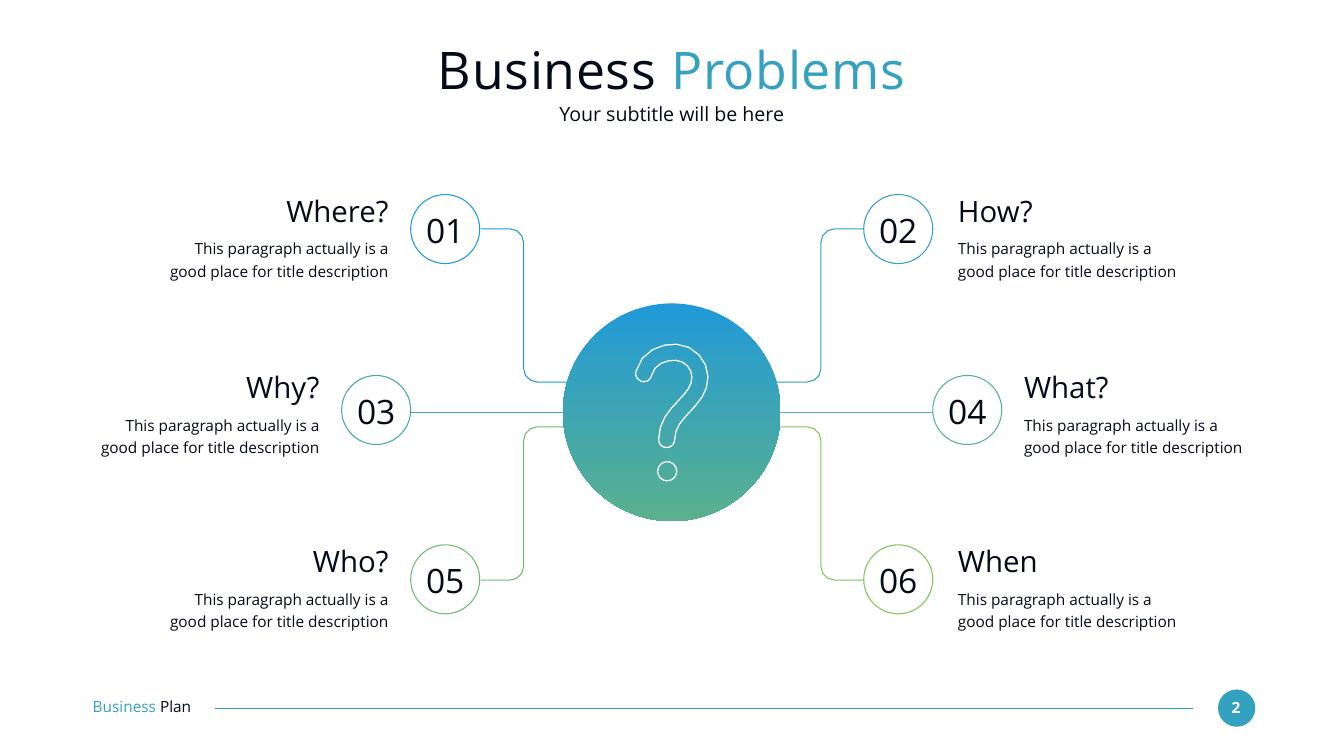
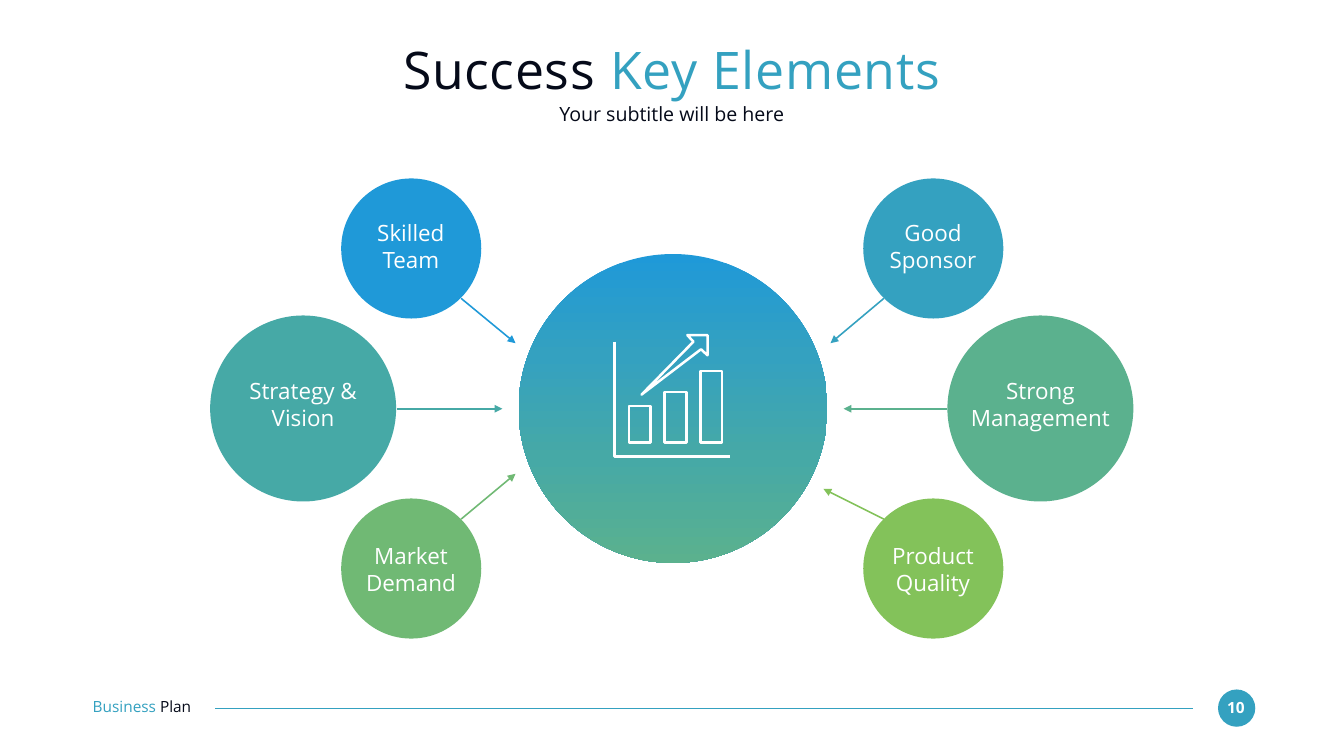
"""Build two business plan slides: six question rings and six success elements."""
from copy import deepcopy
from math import cos, pi, sin

from lxml import etree
from pptx import Presentation
from pptx.dml.color import RGBColor
from pptx.enum.shapes import MSO_CONNECTOR, MSO_SHAPE
from pptx.enum.text import MSO_ANCHOR, PP_ALIGN
from pptx.oxml.ns import qn
from pptx.util import Inches, Pt

LEFT, CENTER, RIGHT = PP_ALIGN.LEFT, PP_ALIGN.CENTER, PP_ALIGN.RIGHT
TOP, MIDDLE = MSO_ANCHOR.TOP, MSO_ANCHOR.MIDDLE
ELLIPSE, STRAIGHT = MSO_SHAPE.OVAL, MSO_CONNECTOR.STRAIGHT
FONT = "Open Sans"
TITLE_SIZE = 74
COLORS = {
    "ink": "050A19", "white": "FFFFFF", "blue": "1F99D8", "cyan": "34A1C0",
    "teal": "46A9A6", "sea": "5BB18E", "green": "70B974", "lime": "83C25A",
}
GRADIENT = [(0, "blue"), (0.33, "cyan"), (0.66, "teal"), (1, "sea")]
DESCRIPTION = "This paragraph actually is a good place for title description"


def color(name):
    return RGBColor.from_string(COLORS[name])


def curve(points, steps):
    """Sample a chain of cubic curves: a start, then three points per curve."""
    sampled = [points[0]]
    for first in range(0, len(points) - 1, 3):
        corners = points[first:first + 4]
        for step in range(1, steps + 1):
            t = step / steps
            weights = ((1 - t) ** 3, 3 * t * (1 - t) ** 2, 3 * t * t * (1 - t), t ** 3)
            sampled.append(tuple(sum(w * c[axis] for w, c in zip(weights, corners))
                                 for axis in (0, 1)))
    return sampled


questions = [
    ("01", "Where?", "blue", 8.15, 3.86, 3.13, 3.83, 4.58, RIGHT),
    ("02", "How?", "cyan", 17.14, 3.86, 19.01, 3.83, 4.58, LEFT),
    ("03", "Why?", "teal", 6.78, 7.45, 1.83, 7.33, 4.51, RIGHT),
    ("04", "What?", "sea", 18.51, 7.45, 20.32, 7.33, 4.51, LEFT),
    ("05", "Who?", "green", 8.15, 10.81, 3.13, 10.78, 4.58, RIGHT),
    ("06", "When", "lime", 17.14, 10.81, 19.01, 10.78, 4.58, LEFT),
]
question_disks, question_texts = [], []
for number, heading, tone, ring_x, ring_y, x, y, width, align in questions:
    question_disks.append((ring_x, ring_y, 1.37, None, tone))
    question_texts += [
        (ring_x + 0.14, ring_y + 0.3, 1.09, 0.81, CENTER, 48, 1, [[(number, "ink")]]),
        (x, y, width, 0.71, align, 42, 1, [[(heading, "ink")]]),
        (x, y + 0.85, width, 0.89, align, 22, 1.2, [[(DESCRIPTION, "ink")]]),
    ]
question_disks.append((11.17, 6.02, 4.32, "gradient", None))

elbows = []
for tone, mirrored, y, down in [("blue", False, 4.54, 1), ("cyan", True, 4.54, 1),
                                ("green", False, 11.51, -1), ("lime", True, 11.51, -1)]:
    corner_out = curve([(10.12, 0), (10.27, 0), (10.39, 0.12), (10.39, 0.27)], 3)
    corner_in = curve([(10.39, 2.77), (10.39, 2.92), (10.51, 3.04), (10.66, 3.04)], 3)
    route = [(9.54, 0)] + corner_out + corner_in + [(11.39, 3.04)]
    elbows.append((tone, 1.5, [(False, [(26.68 - px if mirrored else px, y + down * py)
                                        for px, py in route])]))

hook = curve([
    (13.43, 6.83), (13.12, 6.81), (12.72, 6.96), (12.62, 7.37),
    (12.59, 7.46), (12.65, 7.54), (12.74, 7.57), (12.77, 7.58), (12.82, 7.57), (12.86, 7.55),
    (12.89, 7.53), (12.92, 7.49), (12.93, 7.45), (12.98, 7.23), (13.2, 7.14), (13.41, 7.15),
    (13.59, 7.16), (13.73, 7.31), (13.73, 7.48), (13.73, 7.66), (13.63, 7.77), (13.46, 7.95),
    (13.28, 8.14), (13.07, 8.36), (13.07, 8.72), (13.07, 8.82), (13.14, 8.88), (13.23, 8.88),
    (13.32, 8.88), (13.39, 8.81), (13.39, 8.71), (13.39, 8.49), (13.53, 8.34), (13.69, 8.17),
    (13.86, 7.99), (14.05, 7.79), (14.05, 7.48), (14.05, 7.15), (13.77, 6.85), (13.43, 6.83),
], 4)
dot = [(13.24 + 0.19 * cos(pi * turn / 8), 9.35 + 0.19 * sin(pi * turn / 8))
       for turn in range(16)]

elements = [
    (["Skilled Team"], "blue", 6.77, 3.54, 2.78, 7.04, 4.34, 2.23, (9.15, 5.92, 10.23, 6.81)),
    (["Strategy & Vision"], "teal", 4.17, 6.26, 3.69, 4.9, 7.49, 2.23, (7.87, 8.11, 9.97, 8.11)),
    (["Market Demand"], "green", 6.77, 9.89, 2.78, 7.04, 10.75, 2.23, (9.15, 10.3, 10.23, 9.4)),
    (["Good Sponsor"], "cyan", 17.13, 3.54, 2.78, 17.4, 4.34, 2.23, (17.54, 5.92, 16.48, 6.81)),
    (["Strong", "Management"], "sea", 18.8, 6.26, 3.69, 19.19, 7.49, 2.91,
     (18.8, 8.11, 16.74, 8.11)),
    (["Product Quality"], "lime", 17.13, 9.89, 2.78, 17.4, 10.75, 2.23, (17.54, 10.3, 16.34, 9.7)),
]
element_disks, element_texts, element_lines = [], [], []
for label, tone, disk_x, disk_y, size, x, y, width, ends in elements:
    element_disks.append((disk_x, disk_y, size, tone, None))
    element_texts.append((x, y, width, 1.08, CENTER, 32, 1,
                          [[(words, "white")] for words in label]))
    element_lines.append((*ends, tone, 2.25, True))
element_disks.append((10.29, 5.04, 6.13, "gradient", None))

axes = [(12.19, 6.78), (12.19, 9.06), (14.48, 9.06)]
bars = [[(x, top), (x + 0.43, top), (x + 0.43, 8.78), (x, 8.78)]
        for x, top in [(12.48, 8.06), (13.19, 7.78), (13.9, 7.36)]]
arrow = [(12.73, 7.83), (13.76, 6.78), (13.64, 6.65), (14.04, 6.65), (14.04, 7.05), (13.91, 6.93)]

slides = [
    {"title": ("Business ", "Problems"), "number": "2",
     "lines": [(11.39, 8.18, 8.15, 8.18, "teal", 1.5, False),
               (18.51, 8.18, 15.3, 8.18, "sea", 1.5, False)],
     "elbows": elbows, "disks": question_disks, "texts": question_texts,
     "icon": [("white", 1.8, [(True, hook), (True, dot)])]},
    {"title": ("Success ", "Key Elements"), "number": "10", "lines": element_lines,
     "elbows": [], "disks": element_disks, "texts": element_texts,
     "icon": [("white", 3.6, [(False, axes)] + [(True, part) for part in bars + [arrow]])]},
]

deck = Presentation()
deck.slide_width, deck.slide_height = Inches(26.67), Inches(15)

for content in slides:
    page = deck.slides.add_slide(deck.slide_layouts[6])
    start, accent = content["title"]
    lines = [(23.67, 14.05, 4.27, 14.05, "cyan", 1.5, False)] + content["lines"]
    disks = [(24.17, 13.68, 0.74, "cyan", None)] + content["disks"]
    texts = [
        (24.23, 13.85, 0.59, 0.37, CENTER, 22, 1, [[(content["number"], "white")]]),
        (1.84, 13.84, 2.59, 0.37, LEFT, 22, 1, [[("Business ", "cyan"), ("Plan", "ink")]]),
        (1.83, 0.73, 23, 1.27, CENTER, TITLE_SIZE, 1, [[(start, "ink"), (accent, "cyan")]]),
        (1.83, 2.03, 23, 0.49, CENTER, 28, 1, [[("Your subtitle will be here", "ink")]]),
    ] + content["texts"]

    for x1, y1, x2, y2, tone, weight, arrowed in lines:
        line = page.shapes.add_connector(STRAIGHT, Inches(x1), Inches(y1), Inches(x2), Inches(y2))
        line.line.color.rgb = color(tone)
        line.line.width = Pt(weight)
        if arrowed:
            etree.SubElement(line.line._get_or_add_ln(), qn("a:tailEnd"),
                             type="triangle", w="lg", len="lg")
        etree.SubElement(line._element.spPr, qn("a:effectLst"))

    for layer in ("elbows", "disks", "icon"):
        if layer == "disks":
            for x, y, size, fill, outline in disks:
                disk = page.shapes.add_shape(ELLIPSE, Inches(x), Inches(y),
                                             Inches(size), Inches(size))
                disk.shadow.inherit = False
                if fill == "gradient":
                    disk.fill.gradient()
                    disk.fill.gradient_angle = 270
                    stops = disk._element.spPr.find(qn("a:gradFill")).find(qn("a:gsLst"))
                    for _ in range(2):
                        stops.append(deepcopy(stops[0]))
                    for stop, (position, tone) in zip(disk.fill.gradient_stops, GRADIENT):
                        stop.position = position
                        stop.color.rgb = color(tone)
                elif fill:
                    disk.fill.solid()
                    disk.fill.fore_color.rgb = color(fill)
                else:
                    disk.fill.background()
                if outline:
                    disk.line.color.rgb = color(outline)
                    disk.line.width = Pt(1.5)
                else:
                    disk.line.fill.background()
            continue
        for tone, weight, contours in content[layer]:
            routes = [(closed, [(Inches(px), Inches(py)) for px, py in points])
                      for closed, points in contours]
            builder = page.shapes.build_freeform(*routes[0][1][0])
            for index, (closed, route) in enumerate(routes):
                if index:
                    builder.move_to(*route[0])
                builder.add_line_segments(route[1:], close=closed)
            outline = builder.convert_to_shape()
            outline.shadow.inherit = False
            outline.fill.background()
            outline.line.color.rgb = color(tone)
            outline.line.width = Pt(weight)

    for x, y, width, height, align, size, spacing, paragraphs in texts:
        box = page.shapes.add_textbox(Inches(x), Inches(y), Inches(width), Inches(height))
        frame = box.text_frame
        frame.word_wrap = True
        frame.vertical_anchor = MIDDLE if size == TITLE_SIZE else TOP
        frame.margin_left = frame.margin_top = frame.margin_right = frame.margin_bottom = 0
        for index, spans in enumerate(paragraphs):
            para = frame.add_paragraph() if index else frame.paragraphs[0]
            para.alignment = align
            para.line_spacing = spacing
            for words, tone in spans:
                span = para.add_run()
                span.text = words
                span.font.name = FONT
                span.font.size = Pt(size)
                span.font.color.rgb = color(tone)
                if words == content["number"]:
                    span.font.bold = True
                if size == TITLE_SIZE:
                    span.font._element.set("spc", "100")

deck.save("out.pptx")
